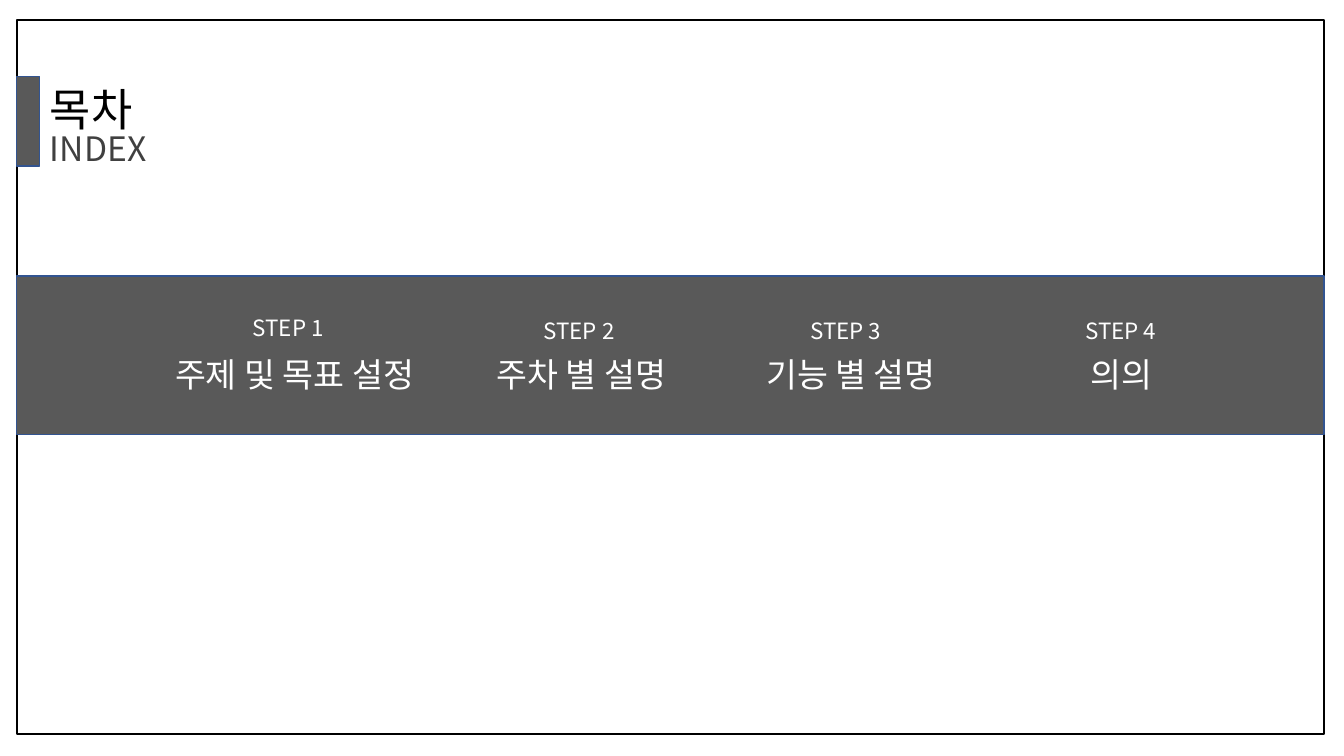
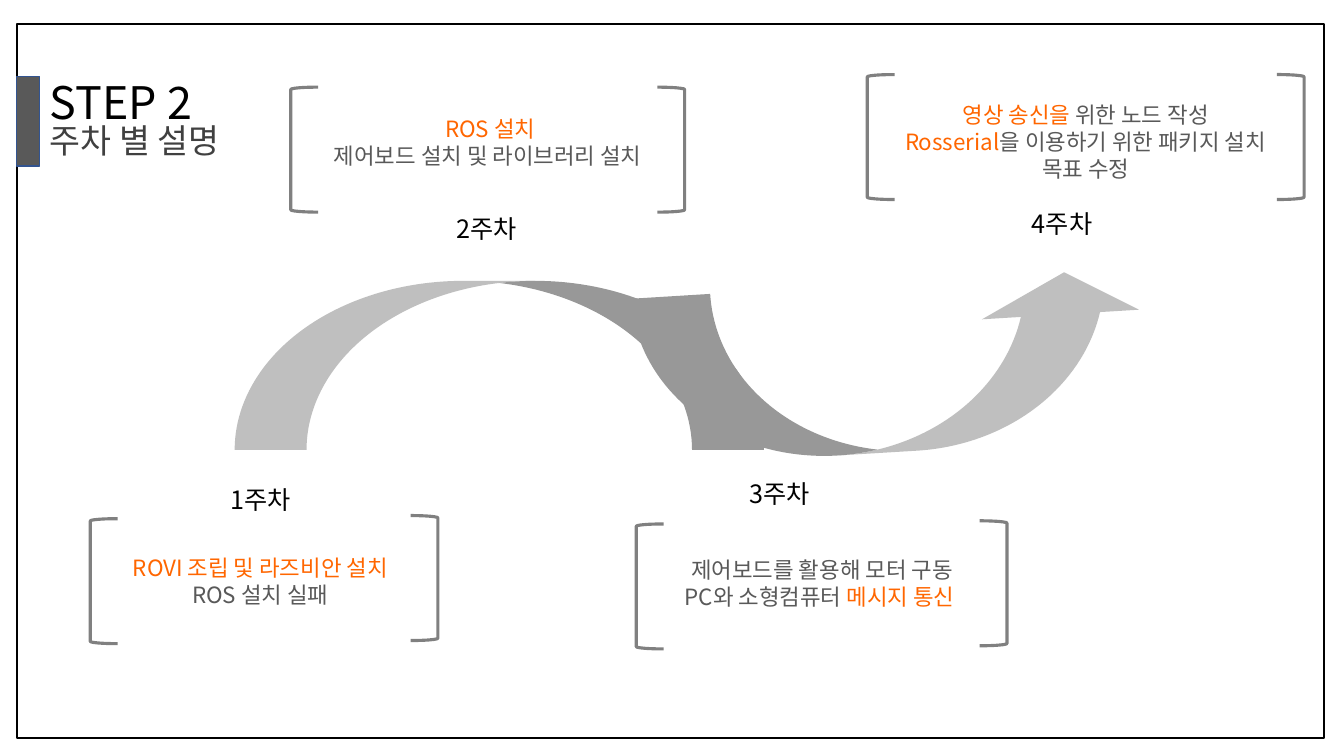
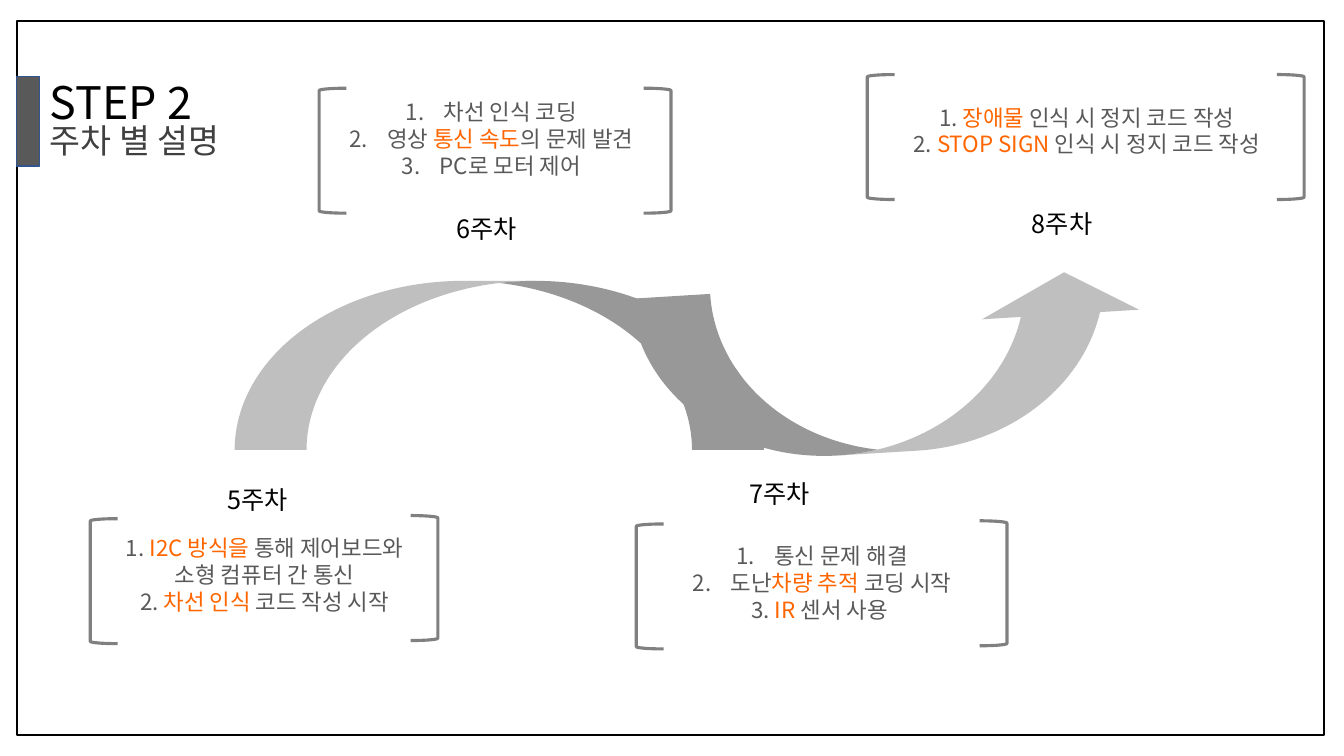
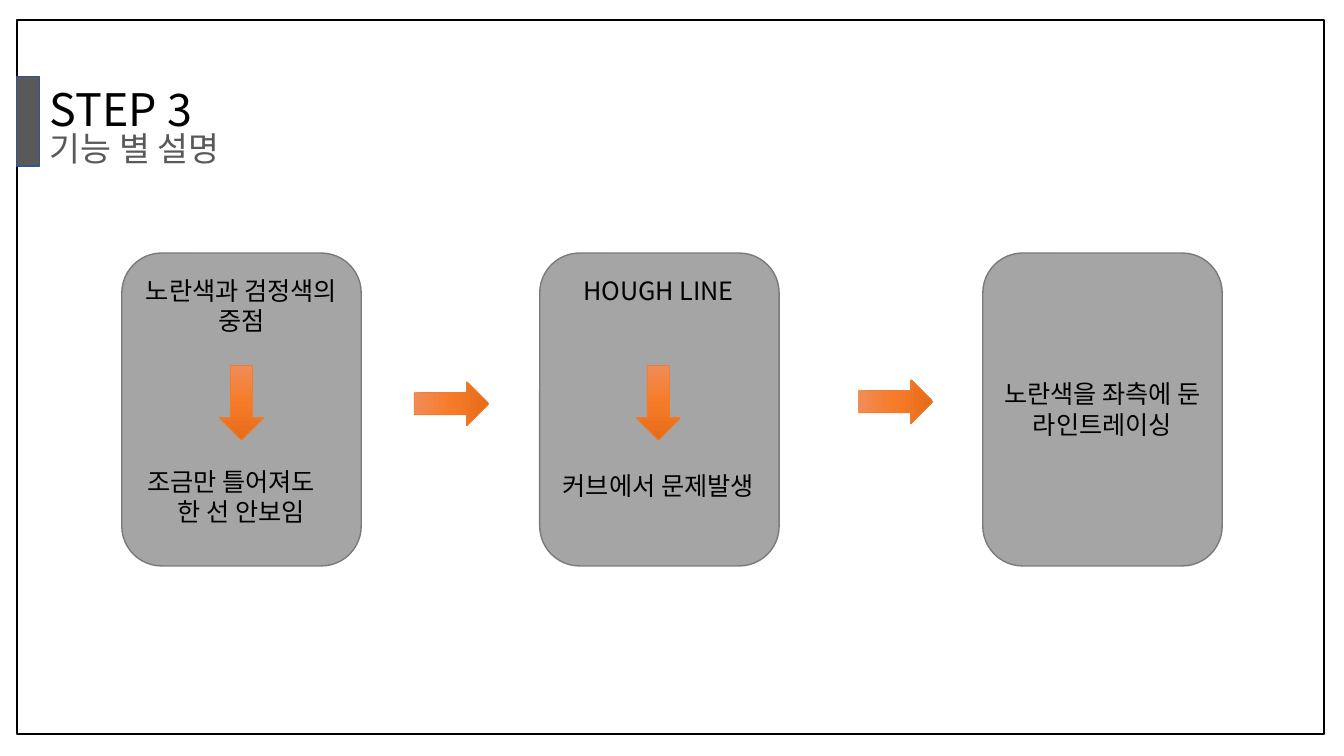
import copy

import lxml.etree
import pptx
import pptx.dml.color
import pptx.enum.shapes
import pptx.enum.text
import pptx.oxml.ns
import pptx.util

PX = 9525  # EMU per px, 96 px to the inch
FONT = "Noto Sans CJK KR"
BLACK, WHITE, DARK, GREY = "000000", "FFFFFF", "404040", "595959"
ORANGE, NAVY = "FF6600", "325491"

rgb = pptx.dml.color.RGBColor.from_string
qn = pptx.oxml.ns.qn
MSO = pptx.enum.shapes.MSO_SHAPE
LEFT = pptx.enum.text.PP_ALIGN.LEFT
CENTER = pptx.enum.text.PP_ALIGN.CENTER


def draw(s, kind, box, fill=None, line=None, width=1, rotation=0):
    """Add a preset shape; box is left, top, width, height in px."""
    sp = s.shapes.add_shape(kind, *[v * PX for v in box])
    sp.shadow.inherit = False
    sp.rotation = rotation
    if fill:
        sp.fill.solid()
        sp.fill.fore_color.rgb = rgb(fill)
    else:
        sp.fill.background()
    if line:
        sp.line.color.rgb = rgb(line)
        sp.line.width = pptx.util.Pt(width)
    else:
        sp.line.fill.background()
    return sp


def write(s, box, lines, size, color, align=CENTER, sp=None):
    """Write lines in a text box or in sp: *text* is orange, # numbers a line."""
    sp = sp or s.shapes.add_textbox(0, 0, 0, 0)
    for name, v in zip(("left", "top", "width", "height"), box):
        setattr(sp, name, v * PX)
    tf = sp.text_frame
    frame_format = {
        "word_wrap": True,
        "auto_size": pptx.enum.text.MSO_AUTO_SIZE.SHAPE_TO_FIT_TEXT,
        "vertical_anchor": pptx.enum.text.MSO_ANCHOR.TOP,
    }
    for name, v in frame_format.items():
        setattr(tf, name, v)
    for i, line in enumerate(lines):
        p = tf.paragraphs[0] if i == 0 else tf.add_paragraph()
        numbered = line.startswith("#")
        pPr = p._p.get_or_add_pPr()
        indent = 36 * PX if numbered else 0
        pPr.set("marL", str(indent))
        pPr.set("indent", str(-indent))
        if numbered:
            lxml.etree.SubElement(pPr, qn("a:buAutoNum"), type="arabicPeriod")
        else:
            lxml.etree.SubElement(pPr, qn("a:buNone"))
        p.alignment = align
        p.space_before = pptx.util.Pt(0)
        for j, text in enumerate(line.lstrip("#").split("*")):
            if not text:
                continue
            r = p.add_run()
            r.text = text
            for name, v in {"name": FONT, "size": pptx.util.Pt(size)}.items():
                setattr(r.font, name, v)
            r.font.color.rgb = rgb(ORANGE if j % 2 else color)
            lxml.etree.SubElement(r.font._element, qn("a:ea"), typeface=FONT)
    return sp


prs = pptx.Presentation()
prs.slide_width, prs.slide_height = 1280 * PX, 720 * PX

# Frame, tab, title and subtitle of every slide
heads = [
    # title, subtitle, subtitle colour, frame top, title top, subtitle top
    ("목차", "INDEX", DARK, 19, 73, 117),
    ("STEP 2", "주차 별 설명", DARK, 23, 66, 109),
    ("STEP 2", "주차 별 설명", DARK, 20, 66, 109),
    ("STEP 3", "기능 별 설명", GREY, 19, 73, 117),
]
slides = []
for title, subtitle, color, frame_top, title_top, subtitle_top in heads:
    s = prs.slides.add_slide(prs.slide_layouts[1])
    frame = draw(s, MSO.RECTANGLE, (16, frame_top, 1245, 680), WHITE, BLACK, 1.75)
    s.shapes.title.element.addprevious(frame.element)
    draw(s, MSO.RECTANGLE, (16, 73, 22, 85), GREY, NAVY)
    write(s, (38, title_top, 190, 61), [title], 32, BLACK, LEFT, s.shapes.title)
    write(s, (38, subtitle_top, 230, 48), [subtitle], 24, color, LEFT, s.placeholders[1])
    slides.append(s)
index, weeks_1_4, weeks_5_8, features = slides

# Index: band with four steps
draw(index, MSO.RECTANGLE, (16, 263, 1245, 151), GREY, NAVY)
steps = [
    # label left, label top, topic left, topic
    (192, 294, 141, "주제 및 목표 설정"),
    (469, 297, 414, "주차 별 설명"),
    (723, 297, 671, "기능 별 설명"),
    (985, 297, 929, "의의"),
]
for n, (label_left, label_top, topic_left, topic) in enumerate(steps, 1):
    for box, text, size in (
        ((label_left, label_top, 165, 36), f"STEP {n}", 16),
        ((topic_left, 332, 279, 48), topic, 24),
    ):
        sp = draw(index, MSO.RECTANGLE, box, GREY)
        write(index, box, [text], size, WHITE, CENTER, sp)

# Weekly plans: winding arrow, week labels and bracketed notes
plans = [
    (weeks_1_4, [
        # week, label left and top, bracket lefts, top and right-hand rise,
        # note left and top, note lines
        ("1주차", 109, 457, 86, 391, 494, 3, 8, 523,
         ["*ROVI 조립 및 라즈비안 설치*", "ROS 설치 실패"]),
        ("2주차", 324, 198, 277, 626, 83, 0, 227, 105,
         ["*ROS 설치*", "제어보드 설치 및 라이브러리 설치 "]),
        ("3주차", 603, 451, 606, 933, 499, 3, 543, 525,
         ["제어보드를 활용해 모터 구동", "PC와 소형컴퓨터 *메시지 통신 *"]),
        ("4주차", 872, 194, 826, 1216, 71, 0, 794, 92,
         ["*영상 송신을 *위한 노드 작성",
          "*Rosserial*을 이용하기 위한 패키지 설치", "목표 수정"]),
    ]),
    (weeks_5_8, [
        ("5주차", 106, 457, 86, 391, 494, 3, 12, 504,
         ["1. *I2C 방식을 *통해 제어보드와", "소형 컴퓨터 간 통신",
          "2. *차선 인식 *코드 작성 시작"]),
        ("6주차", 324, 198, 304, 613, 84, 0, 228, 89,
         ["#차선 인식 코딩", "#영상 *통신 속도*의 문제 발견", "#PC로 모터 제어"]),
        ("7주차", 603, 451, 606, 933, 499, 3, 543, 512,
         ["#통신 문제 해결", "#도난*차량 추적* 코딩 시작", "3.* IR *센서 사용 "]),
        ("8주차", 872, 194, 826, 1216, 71, 0, 795, 94,
         ["1. *장애물* 인식 시 정지 코드 작성",
          "2. *STOP SIGN *인식 시 정지 코드 작성"]),
    ]),
]
arrows = [
    ((395, 96, 161, 504), 90, (0.425, 0.425, 0)),
    ((769, 106, 161, 488), 266.5, (0.469, 0.93, 0.248)),
]
for s, weeks in plans:
    for box, rotation, adjustments in arrows:
        sp = draw(s, MSO.CURVED_RIGHT_ARROW, box, "BFBFBF", rotation=rotation)
        for i, v in enumerate(adjustments):
            sp.adjustments[i] = v
    for week, x, y, left, right, top, rise, note_x, note_y, lines in weeks:
        write(s, (x, y, 279, 40), [week], 18, BLACK)
        write(s, (note_x, note_y, 480, 26 * len(lines) + 9), lines, 16, GREY)
        draw(s, MSO.LEFT_BRACKET, (left, top, 26, 119), None, "808080", 2.25)
        draw(s, MSO.LEFT_BRACKET, (right, top - rise, 26, 119), None, "808080", 2.25, 180)

# Features: three cards
for x in (116, 514, 936):
    draw(features, MSO.ROUNDED_RECTANGLE, (x, 241, 228, 298), "A5A5A5", "7A7A7A")
card_texts = [
    (116, 257, ["노란색과 검정색의 중점"]),
    (106, 439, ["조금만 틀어져도", "한 선 안보임"]),
    (513, 257, ["HOUGH LINE"]),
    (513, 443, ["커브에서 문제발생"]),
    (936, 356, ["노란색을 좌측에 둔 라인트레이싱"]),
]
for x, y, lines in card_texts:
    sp = write(features, (x, y, 228, 38), lines, 18, BLACK)
    for p in sp.text_frame.paragraphs[1:]:
        p._p.get_or_add_pPr().set("marL", str(20 * PX))

# Features: gradient arrows inside and between the cards
for x, y, rotation in ((209, 348, 0), (606, 348, 0), (409, 349, 270), (832, 347, 270)):
    sp = draw(features, MSO.DOWN_ARROW, (x, y, 42, 71), ORANGE, "ED7D31", 0.5, rotation)
    sp.fill.gradient()
    sp.fill.gradient_angle = 270
    first = sp.element.xpath(".//a:gs")[0]
    first.addnext(copy.deepcopy(first))
    colors = ("F18C57", "F67B28", "E56C19")
    for stop, position, color in zip(sp.fill.gradient_stops, (0, 0.5, 1), colors):
        stop.position = position
        stop.color.rgb = rgb(color)

prs.save("out.pptx")
